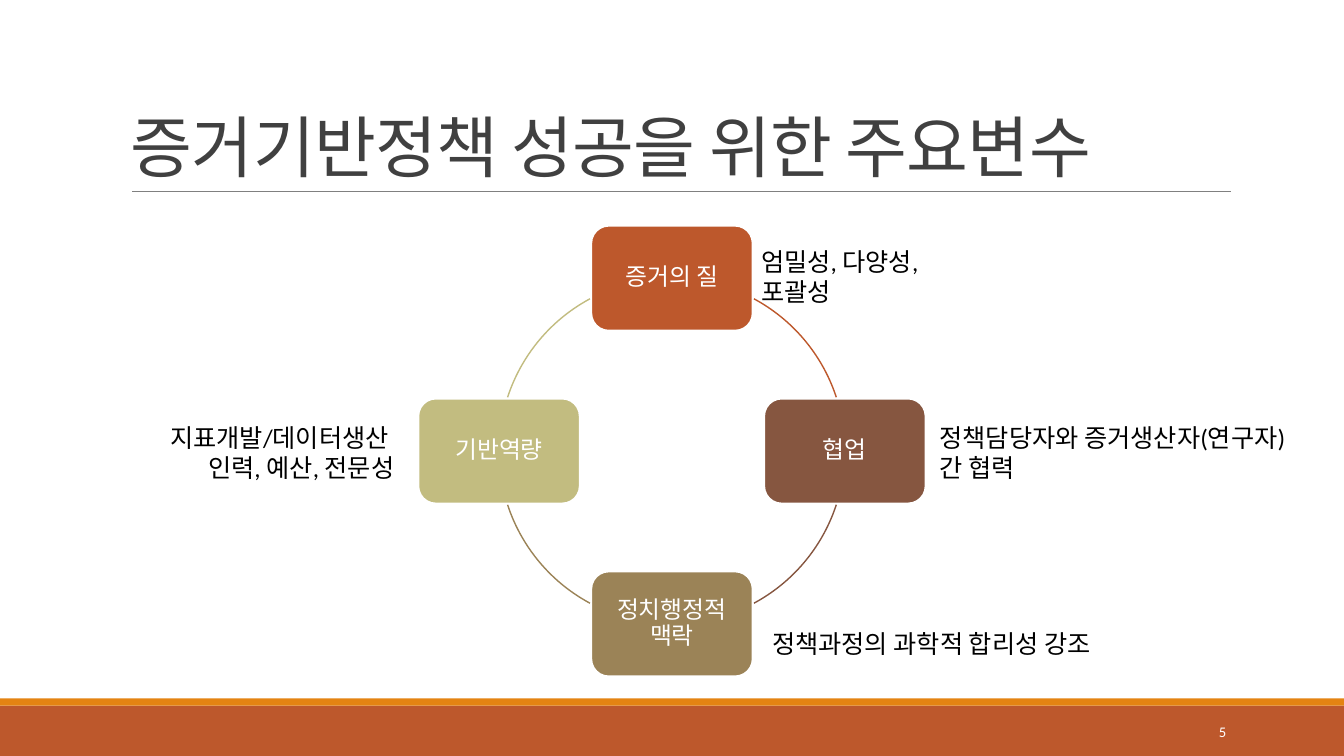
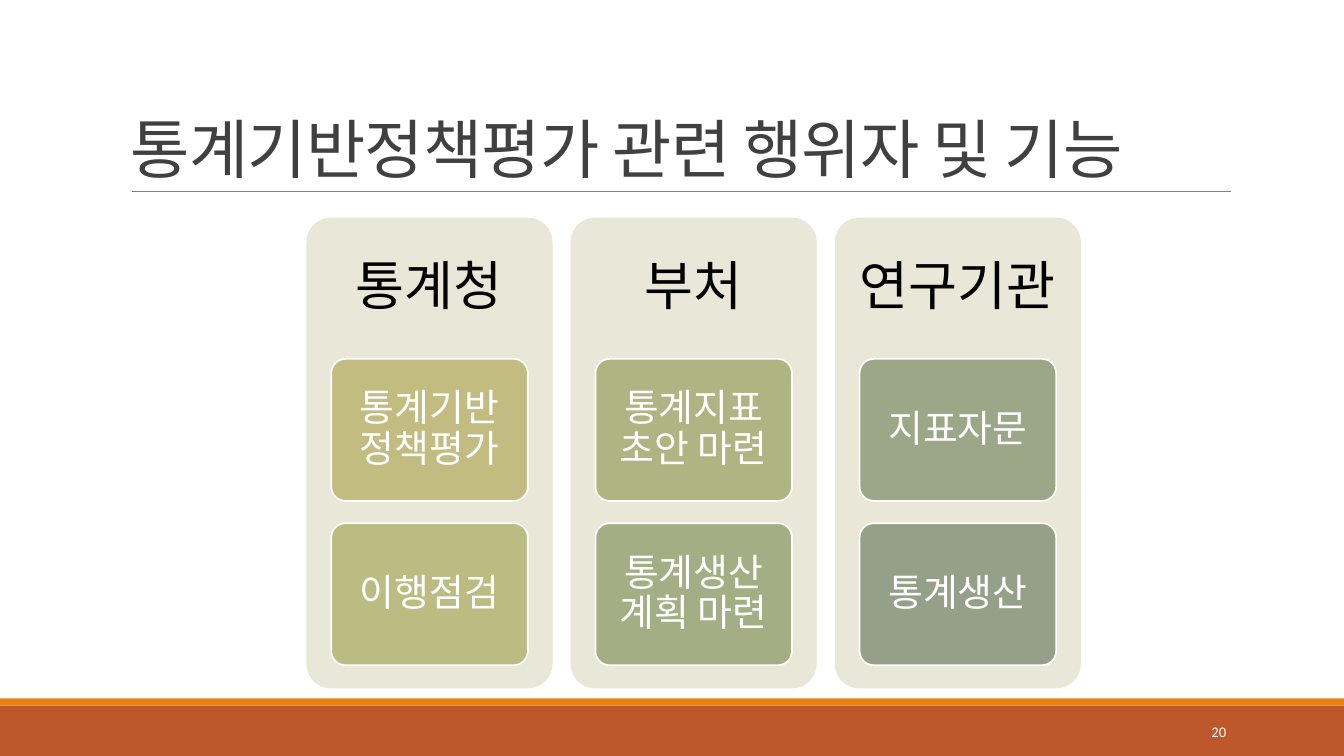
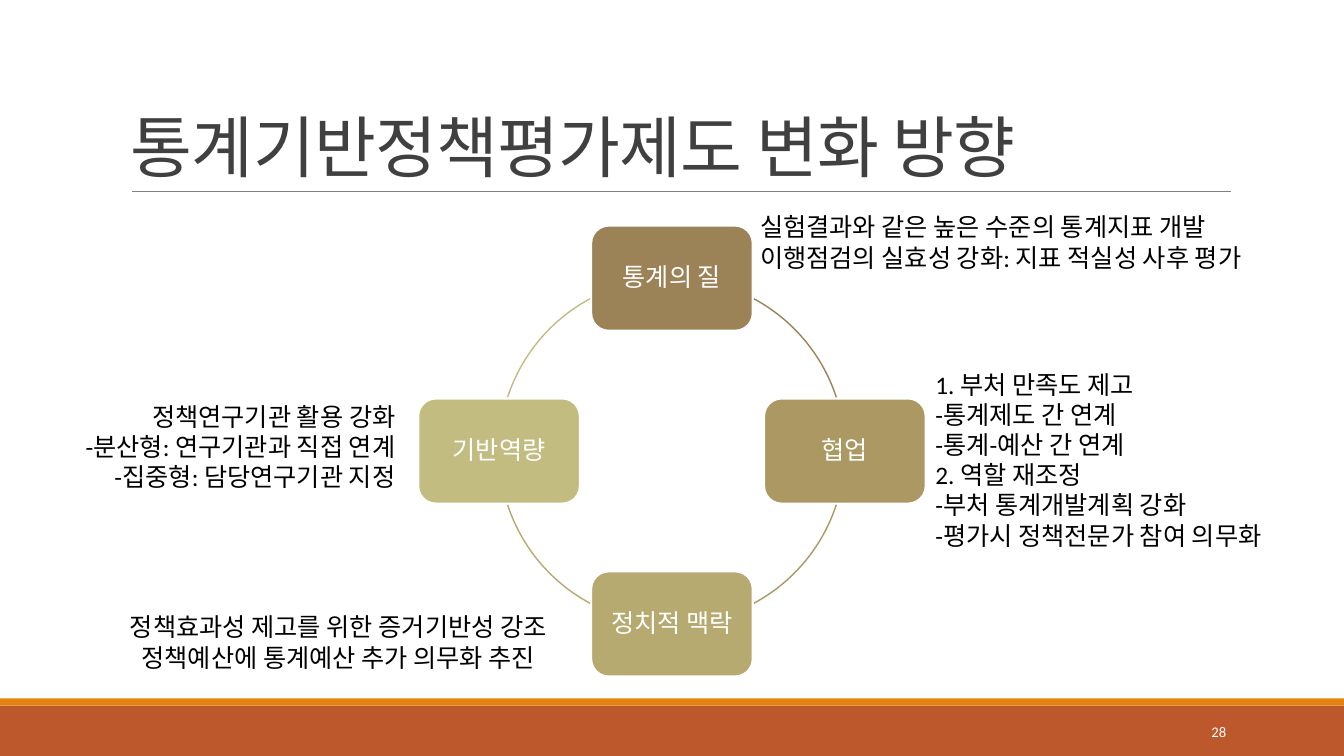
from pptx import Presentation
from pptx.dml.color import RGBColor
from pptx.enum.shapes import MSO_CONNECTOR, MSO_SHAPE
from pptx.enum.text import MSO_ANCHOR, PP_ALIGN
from pptx.oxml.ns import qn
from pptx.util import Inches, Pt
from lxml.etree import SubElement

FONT = "Calibri"
HUES = {
    "rust": "BD582C", "orange": "E48312", "brown": "865640", "umber": "9B8357",
    "tan": "AB9862", "straw": "B7AA70", "khaki": "C2BC80", "lime": "BABC81",
    "leaf": "AEB582", "moss": "A3AE84", "sage": "9BA786", "fern": "94A088",
    "cream": "E9E7D8", "white": "FFFFFF", "black": "000000",
    "ink": "404040", "rule": "808080",
}
SIDES = {"left": PP_ALIGN.LEFT, "center": PP_ALIGN.CENTER, "right": PP_ALIGN.RIGHT}
ANCHORS = {"top": MSO_ANCHOR.TOP, "middle": MSO_ANCHOR.MIDDLE, "bottom": MSO_ANCHOR.BOTTOM}


def hue(name):
    """Return the named colour."""
    return RGBColor.from_string(HUES[name])


def write(shape, text, size=18, color="black", side="left", anchor="top",
          pad=(0.1, 0.05), lead=None, track=None):
    """Fill a shape with text, one paragraph a line."""
    frame = shape.text_frame
    frame.word_wrap = True
    frame.vertical_anchor = ANCHORS[anchor]
    frame.margin_left = frame.margin_right = Inches(pad[0])
    frame.margin_top = frame.margin_bottom = Inches(pad[1])
    for num, line in enumerate(text.split("\n")):
        para = frame.add_paragraph() if num else frame.paragraphs[0]
        para.alignment = SIDES[side]
        if lead:
            para.line_spacing = lead
        run = para.add_run()
        run.text = line
        run.font.name = FONT
        run.font.size = Pt(size)
        run.font.color.rgb = hue(color)
        if track:
            run._r.get_or_add_rPr().set("spc", str(track))


def label(slide, box, text, **style):
    """Add a text box."""
    write(slide.shapes.add_textbox(*map(Inches, box)), text, **style)


def block(slide, box, fill=None, line=None, width=1.25, kind=MSO_SHAPE.RECTANGLE, adjs=()):
    """Add a preset shape with the given fill, line and adjustments."""
    shape = slide.shapes.add_shape(kind, *map(Inches, box))
    shape.shadow.inherit = False
    for num, value in enumerate(adjs):
        shape.adjustments[num] = value
    if fill:
        shape.fill.solid()
        shape.fill.fore_color.rgb = hue(fill)
    else:
        shape.fill.background()
    if line:
        shape.line.color.rgb = hue(line)
        shape.line.width = Pt(width)
    else:
        shape.line.fill.background()
    return shape


def base(deck, title, page, size=48):
    """Start a slide with its bands, rule, title and page number."""
    slide = deck.slides.add_slide(deck.slide_layouts[6])
    block(slide, (0, 7, 13.33, 0.5), "rust")
    block(slide, (0, 6.93, 13.33, 0.07), "orange")
    rule = slide.shapes.add_connector(
        MSO_CONNECTOR.STRAIGHT, *map(Inches, (1.31, 1.9, 12.21, 1.9)))
    rule.line.color.rgb = hue("rule")
    rule.line.width = Pt(0.5)
    SubElement(rule._element.spPr, qn("a:effectLst"))
    label(slide, (1.2, 0.31, 11, 1.59), title, size=size, color="ink",
          anchor="bottom", lead=0.85, track=-50)
    label(slide, (10.83, 7.06, 1.43, 0.4), str(page), size=10.5, color="white",
          side="right", anchor="middle")
    return slide


def cycle(slide, box, nodes, size):
    """Draw four nodes clockwise from the top, each with the arc that follows it."""
    left, top, wide, high = box
    node_w, node_h = 1.6, 1.04
    mid_x, mid_y = left + wide / 2, top + high / 2
    reach = (high - node_h) / 2
    ring = (mid_x - reach, mid_y - reach, 2 * reach, 2 * reach)
    spots = [(0, -1), (1, 0), (0, 1), (-1, 0)]
    spans = [(298.3, 341.9), (18.1, 61.7), (118.3, 161.9), (198.1, 241.7)]
    for (text, color), (dx, dy), span in zip(nodes, spots, spans):
        spot = (mid_x + dx * reach - node_w / 2, mid_y + dy * reach - node_h / 2,
                node_w, node_h)
        node = block(slide, spot, color, "white", kind=MSO_SHAPE.ROUNDED_RECTANGLE)
        write(node, text, size=size, color="white", side="center", anchor="middle",
              pad=(0.07, 0.07), lead=0.9)
        block(slide, ring, line=color, width=1, kind=MSO_SHAPE.ARC,
              adjs=[angle * 0.6 for angle in span])


def column(slide, box, head, cells):
    """Draw a panel with a heading and a stack of cells."""
    left, top, wide, high = box
    cell_w, cell_h, step, head_h = 1.95, 1.41, 1.63, 1.4
    round_box = {"kind": MSO_SHAPE.ROUNDED_RECTANGLE, "adjs": [0.1]}
    block(slide, box, "cream", **round_box)
    label(slide, (left, top, wide, head_h), head, size=38, side="center",
          anchor="middle", pad=(0.16, 0.16), lead=0.9)
    for row, (text, color) in enumerate(cells):
        spot = (left + (wide - cell_w) / 2, top + head_h + row * step, cell_w, cell_h)
        cell = block(slide, spot, color, "white", **round_box)
        write(cell, text, size=27, color="white", side="center", anchor="middle",
              pad=(0.08, 0.06), lead=0.9)


def wheel(deck, title, page, nodes, size, notes):
    """Build a slide with a cycle and the notes around it."""
    slide = base(deck, title, page)
    cycle(slide, (4.15, 2.24, 5.03, 4.47), nodes, size)
    for box, side, text in notes:
        label(slide, box, text, side=side)


def panels(deck, title, page, groups):
    """Build a slide with equal columns."""
    slide = base(deck, title, page, size=46)
    for num, (head, cells) in enumerate(groups):
        column(slide, (3.04 + num * 2.62, 2.16, 2.44, 4.67), head, cells)


def main():
    """Build and save the deck."""
    deck = Presentation()
    deck.slide_width, deck.slide_height = Inches(13.33), Inches(7.5)
    wheel(deck, "증거기반정책 성공을 위한 주요변수", 5, [
        ("증거의 질", "rust"), ("협업", "brown"),
        ("정치행정적 맥락", "umber"), ("기반역량", "khaki"),
    ], 17, [
        ((7.45, 2.39, 2.3, 0.71), "left", "엄밀성, 다양성, 포괄성"),
        ((1.38, 4.14, 2.63, 0.71), "right", "지표개발/데이터생산 \n인력, 예산, 전문성"),
        ((9.22, 4.14, 4.01, 0.71), "left", "정책담당자와 증거생산자(연구자)\n간 협력"),
        ((7.56, 6.18, 3.75, 0.4), "left", "정책과정의 과학적 합리성 강조"),
    ])
    panels(deck, "통계기반정책평가 관련 행위자 및 기능", 20, [
        ("통계청", [("통계기반정책평가", "khaki"), ("이행점검", "lime")]),
        ("부처", [("통계지표 초안 마련", "leaf"), ("통계생산계획 마련", "moss")]),
        ("연구기관", [("지표자문", "sage"), ("통계생산", "fern")]),
    ])
    wheel(deck, "통계기반정책평가제도 변화 방향", 28, [
        ("통계의 질", "umber"), ("협업", "tan"),
        ("정치적 맥락", "straw"), ("기반역량", "khaki"),
    ], 18, [
        ((7.44, 2.05, 5.59, 0.71), "left",
         "실험결과와 같은 높은 수준의 통계지표 개발\n"
         "이행점검의 실효성 강화: 지표 적실성 사후 평가"),
        ((0.36, 3.93, 3.66, 1.01), "right",
         "정책연구기관 활용 강화\n-분산형: 연구기관과 직접 연계\n-집중형: 담당연구기관 지정"),
        ((9.18, 3.61, 3.86, 1.92), "left",
         "1. 부처 만족도 제고\n-통계제도 간 연계\n-통계-예산 간 연계\n"
         "2. 역할 재조정\n-부처 통계개발계획 강화\n-평가시 정책전문가 참여 의무화"),
        ((0.93, 6.02, 4.85, 0.71), "center",
         "정책효과성 제고를 위한 증거기반성 강조\n정책예산에 통계예산 추가 의무화 추진"),
    ])
    deck.save("out.pptx")


if __name__ == "__main__":
    main()
